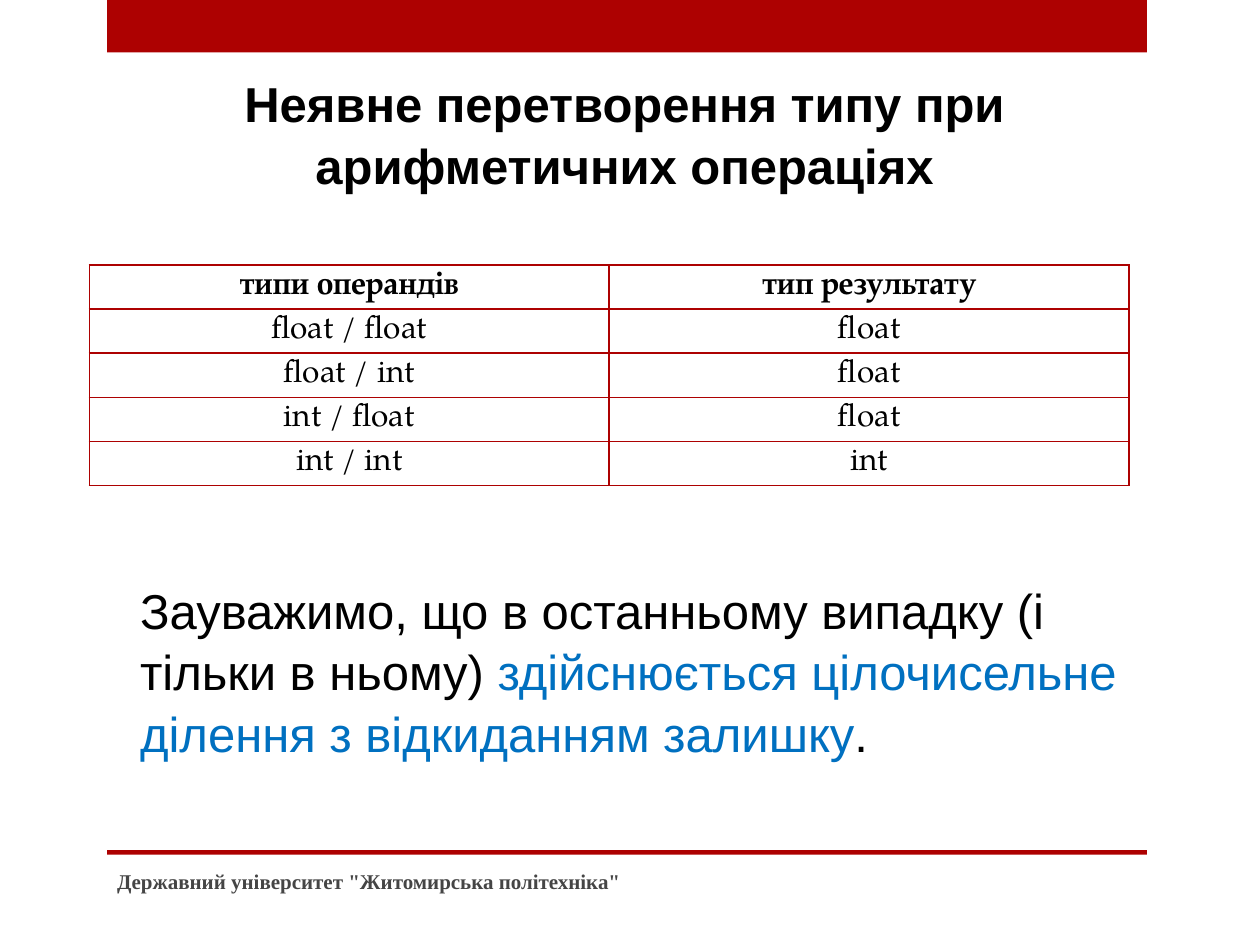
from lxml.etree import SubElement
from pptx import Presentation
from pptx.dml.color import RGBColor
from pptx.enum.shapes import MSO_SHAPE as Shape
from pptx.enum.text import MSO_ANCHOR as Anchor, MSO_AUTO_SIZE as AutoSize, PP_ALIGN as Align
from pptx.oxml.ns import qn
from pptx.util import Cm, Pt

RED = RGBColor(0xAD, 0x01, 0x01)
BLACK = RGBColor(0, 0, 0)
BLUE = RGBColor(0x00, 0x70, 0xC0)
GRAY = RGBColor(0x45, 0x45, 0x45)


def add_run(p, text, name, size, color, bold=False):
    r = p.add_run()
    r.text = text
    for key, value in {"name": name, "size": Pt(size), "bold": bold}.items():
        setattr(r.font, key, value)
    r.font.color.rgb = color


def set_frame(sp, box, anchor):
    for key, value in zip(("left", "top", "width", "height"), box):
        setattr(sp, key, Cm(value))
    tf = sp.text_frame
    for key, value in {"word_wrap": True, "auto_size": AutoSize.NONE, "vertical_anchor": anchor}.items():
        setattr(tf, key, value)
    return tf.paragraphs[0]


prs = Presentation()
prs.slide_width, prs.slide_height = Cm(25.4), Cm(19.05)
s = prs.slides.add_slide(prs.slide_layouts[1])

for top, height in ((0, 1.06), (17.14, 0.09)):
    sp = s.shapes.add_shape(Shape.RECTANGLE, Cm(2.16), Cm(top), Cm(20.96), Cm(height))
    sp.shadow.inherit = False
    sp.fill.solid()
    sp.fill.fore_color.rgb = RED
    sp.line.fill.background()

footer = s.shapes.add_textbox(0, 0, 0, 0)
p = set_frame(footer, (2.11, 17.25, 13.54, 1.02), Anchor.MIDDLE)
add_run(p, 'Державний університет "Житомирська політехніка"', "Times New Roman", 12, GRAY, True)

rows = (
    ("типи операндів", "тип результату"),
    ("float / float", "float"),
    ("float / int", "float"),
    ("int / float", "float"),
    ("int / int", "int"),
)
row_height = 0.89
frame = s.shapes.add_table(len(rows), 2, Cm(1.8), Cm(5.34), Cm(20.96), Cm(row_height * len(rows)))
table = frame.table
table.first_row = table.horz_banding = False
for i, row in enumerate(rows):
    table.rows[i].height = Cm(row_height)
    for j, text in enumerate(row):
        cell = table.cell(i, j)
        for key, value in {"margin_top": 0, "margin_bottom": 0, "vertical_anchor": Anchor.MIDDLE}.items():
            setattr(cell, key, value)
        p = cell.text_frame.paragraphs[0]
        p.alignment = Align.CENTER
        add_run(p, text, "TeX Gyre Pagella", 18, BLACK, i == 0)
        tcPr = cell._tc.get_or_add_tcPr()
        for side in ("a:lnL", "a:lnR", "a:lnT", "a:lnB"):
            ln = SubElement(tcPr, qn(side), w=str(Pt(1)))
            SubElement(SubElement(ln, qn("a:solidFill")), qn("a:srgbClr"), val=str(RED))
        cell.fill.background()

p = set_frame(s.shapes.title, (2.11, 1.35, 20.96, 2.64), Anchor.MIDDLE)
p.alignment = Align.CENTER
p.line_spacing = 1.05
add_run(p, "Неявне перетворення типу при арифметичних операціях", "Arial", 28, BLACK, True)

p = set_frame(s.placeholders[1], (2.57, 11.51, 20.78, 3.84), Anchor.TOP)
pPr = p._p.get_or_add_pPr()
for key in ("marL", "indent"):
    pPr.set(key, "0")
SubElement(pPr, qn("a:buNone"))
p.space_before = Pt(0)
p.line_spacing = 1.05
for text, color in (
    ("Зауважимо, що в останньому випадку (і тільки в ньому) ", BLACK),
    ("здійснюється цілочисельне ділення з відкиданням залишку", BLUE),
    (".", BLACK),
):
    add_run(p, text, "Arial", 28, color)

prs.save("out.pptx")
